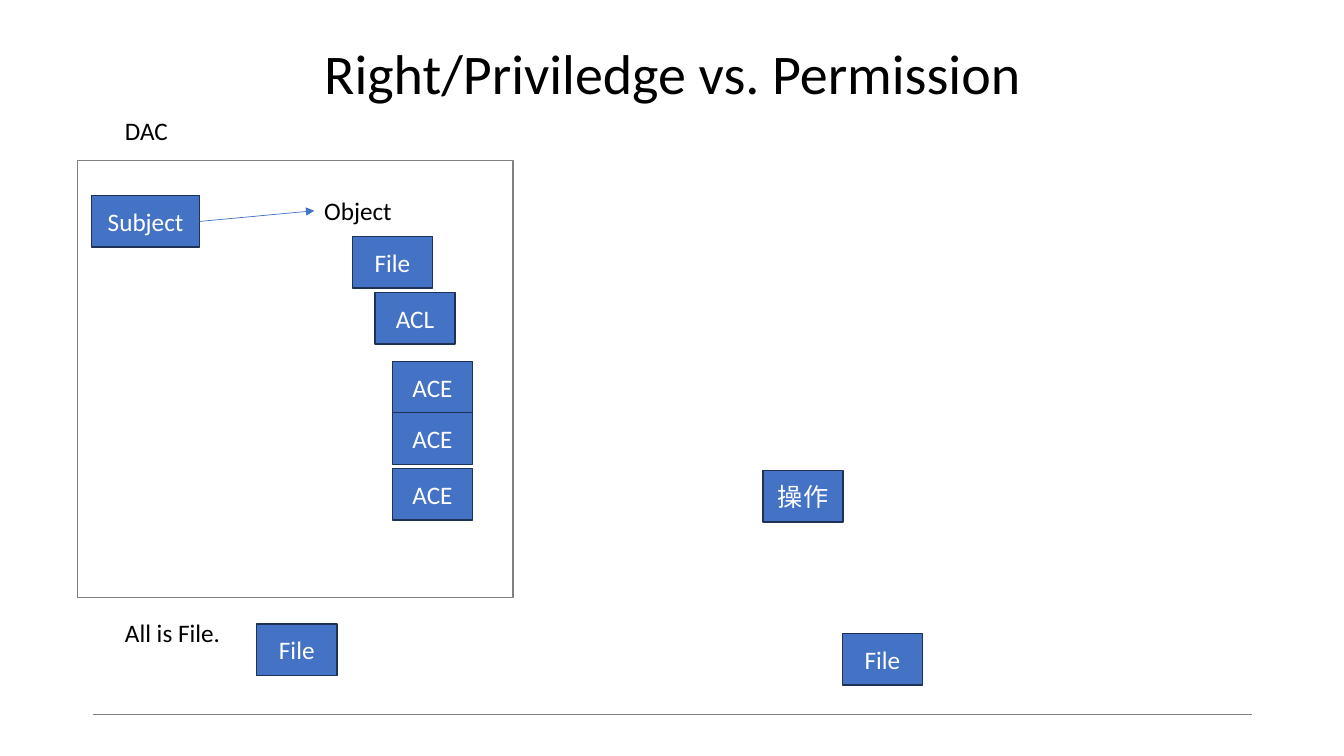
from dataclasses import dataclass

from lxml.etree import SubElement
from pptx import Presentation
from pptx.dml.color import RGBColor as Rgb
from pptx.enum.shapes import MSO_CONNECTOR as Wire, MSO_SHAPE as Kind
from pptx.enum.text import MSO_ANCHOR as Anchor, MSO_AUTO_SIZE as Fit, PP_ALIGN as Align
from pptx.oxml.ns import qn
from pptx.shapes.autoshape import Shape
from pptx.shapes.connector import Connector
from pptx.slide import Slide
from pptx.text.text import TextFrame
from pptx.util import Cm, Pt

FONT = "Calibri"
HUES = {
    "fill": "4472C4",
    "edge": "1E3256",
    "gray": "808080",
    "white": "FFFFFF",
    "black": "000000",
}


@dataclass
class Box:
    text: str
    left: float
    top: float
    width: float = 2.02
    height: float = 1.3


@dataclass
class Label:
    text: str
    left: float
    top: float
    width: float = 3.05
    height: float = 1.02


SUBJECT = Box("Subject", 2.31, 4.93, width=2.72)
OBJECT = Label("Object", 7.92, 4.8)
BOXES = [
    Box("ACL", 9.45, 7.37),
    *[Box("ACE", 9.89, top) for top in (9.11, 10.4, 11.81)],
    Box("File", 8.88, 5.96),
    Box("File", 6.47, 15.72),
    Box("File", 21.23, 15.96),
    Box("操作", 19.23, 11.86),
]
LABELS = [Label("DAC", 2.9, 2.79), Label("All is File.", 2.9, 15.44)]
FRAME = Box("", 1.96, 4.04, 10.97, 11.02)


def hue(name: str) -> Rgb:
    return Rgb.from_string(HUES[name])


def write(frame: TextFrame, text: str, size: float, color: str, align: Align) -> None:
    frame.word_wrap = True
    para = frame.paragraphs[0]
    para.alignment = align
    run = para.add_run()
    run.text = text
    run.font.name = FONT
    run.font.size = Pt(size)
    run.font.color.rgb = hue(color)


def place(item: Box | Label) -> tuple[Cm, Cm, Cm, Cm]:
    return Cm(item.left), Cm(item.top), Cm(item.width), Cm(item.height)


def add_rect(slide: Slide, box: Box, edge: str) -> Shape:
    rect = slide.shapes.add_shape(Kind.RECTANGLE, *place(box))
    rect.shadow.inherit = False
    rect.line.color.rgb = hue(edge)
    rect.line.width = Pt(1)
    return rect


def add_box(slide: Slide, box: Box) -> Shape:
    rect = add_rect(slide, box, "edge")
    rect.fill.solid()
    rect.fill.fore_color.rgb = hue("fill")
    rect.text_frame.vertical_anchor = Anchor.MIDDLE
    write(rect.text_frame, box.text, 18, "white", Align.CENTER)
    return rect


def add_label(slide: Slide, label: Label) -> Shape:
    note = slide.shapes.add_textbox(*place(label))
    write(note.text_frame, label.text, 18, "black", Align.LEFT)
    note.text_frame.auto_size = Fit.SHAPE_TO_FIT_TEXT
    return note


def add_line(slide: Slide, start: tuple[float, float], end: tuple[float, float],
             color: str, width: float) -> Connector:
    line = slide.shapes.add_connector(Wire.STRAIGHT, *map(Cm, start + end))
    line.line.color.rgb = hue(color)
    line.line.width = Pt(width)
    SubElement(line._element.spPr, qn("a:effectLst"))
    return line


def add_arrow(slide: Slide, source: Shape, target: Shape) -> None:
    line = add_line(slide, (5.03, 5.58), (7.92, 5.31), "fill", 0.5)
    line.begin_connect(source, 3)
    line.end_connect(target, 1)
    SubElement(line.line._get_or_add_ln(), qn("a:tailEnd"), type="triangle")


def add_title(slide: Slide) -> None:
    title = slide.shapes.title
    title.left, title.top, title.width, title.height = map(Cm, (2.34, 1.02, 29.21, 1.83))
    frame = title.text_frame
    frame.auto_size = Fit.NONE
    frame.vertical_anchor = Anchor.MIDDLE
    write(frame, "Right/Priviledge vs. Permission", 40, "black", Align.CENTER)
    frame.paragraphs[0].line_spacing = 0.9


def main() -> None:
    deck = Presentation()
    deck.slide_width, deck.slide_height = Cm(33.87), Cm(19.05)
    slide = deck.slides.add_slide(deck.slide_layouts[5])
    add_line(slide, (2.34, 18.01), (31.55, 18.01), "gray", 1)
    add_title(slide)
    for box in BOXES:
        add_box(slide, box)
    for label in LABELS:
        add_label(slide, label)
    add_arrow(slide, add_box(slide, SUBJECT), add_label(slide, OBJECT))
    add_rect(slide, FRAME, "gray").fill.background()
    deck.save("out.pptx")


if __name__ == "__main__":
    main()
